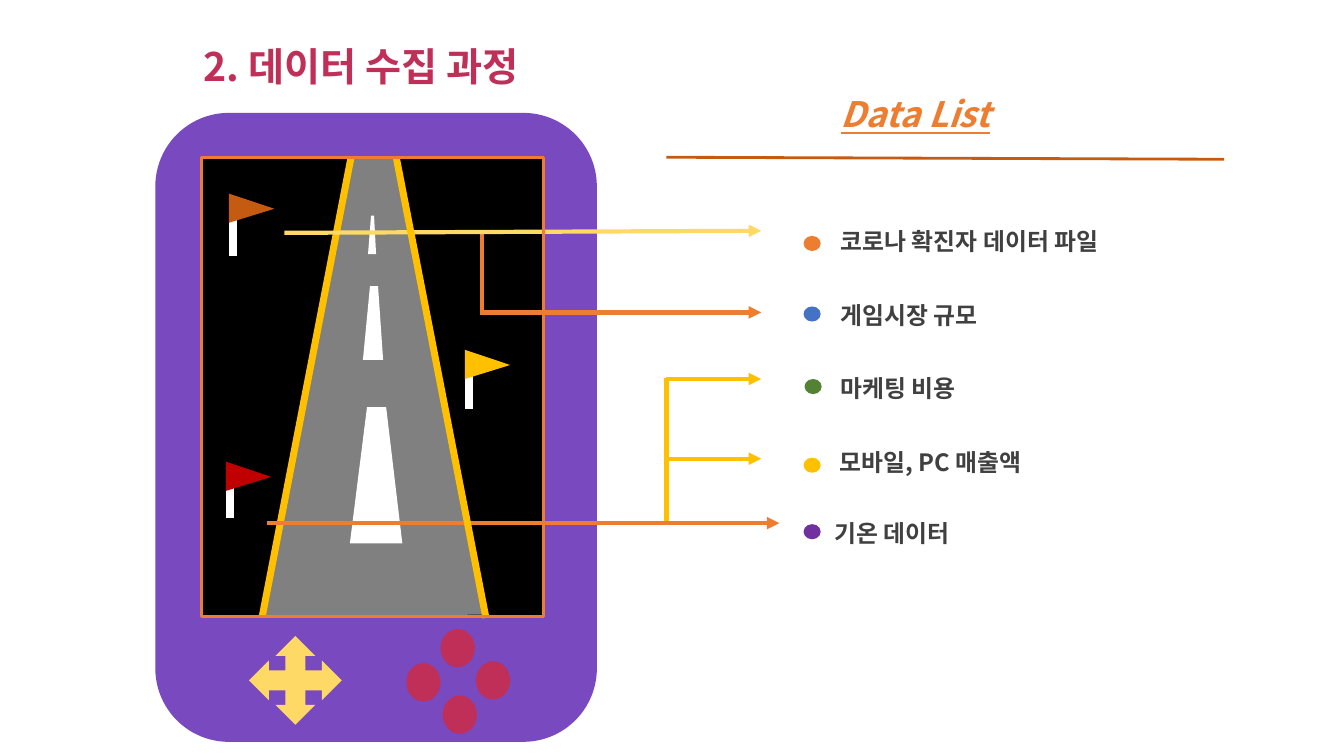
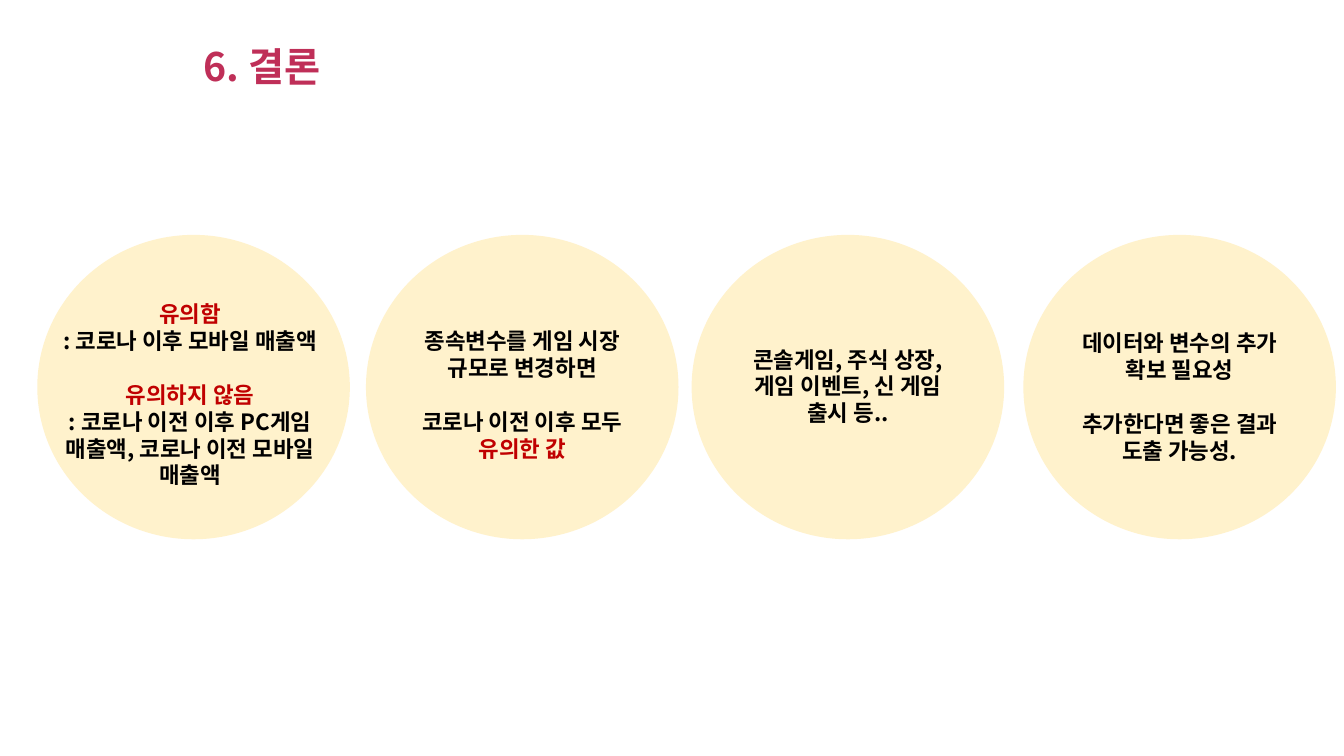
import pptx
import pptx.util
import pptx.dml.color
import pptx.enum.shapes
import pptx.enum.text
import pptx.oxml.ns
import lxml.etree

Inches, Pt = pptx.util.Inches, pptx.util.Pt
SHAPE = pptx.enum.shapes.MSO_SHAPE
ALIGN = pptx.enum.text.PP_ALIGN
qn = pptx.oxml.ns.qn

FONT = "Noto Sans CJK KR"
LINE_HEIGHT = 1.2
CRIMSON, PURPLE, CREAM = "BF2F58", "7949BF", "FFF2CC"
ORANGE, RUST, GOLD, PALE_GOLD, RED = "ED7D31", "C55A11", "FFC000", "FFD966", "C00000"
BLACK, WHITE, GRAY, DARK = "000000", "FFFFFF", "808080", "404040"

# Slide 1: text, text left, text top, dot left, dot top, dot colour
DATA_LIST = [
    ("코로나 확진자 데이터 파일", 8.24, 2.2, 7.97, 2.34, ORANGE),
    ("게임시장 규모", 8.24, 2.93, 7.97, 3.04, "4472C4"),
    ("마케팅 비용", 8.24, 3.66, 7.98, 3.76, "548235"),
    ("모바일, PC 매출액", 8.23, 4.39, 7.97, 4.54, GOLD),
    ("기온 데이터", 8.18, 5.1, 7.97, 5.2, "7030A0"),
]
ROAD = [(2.6, 6.12), (3.48, 1.57), (3.91, 1.57), (4.78, 6.09)]
LANE_MARKS = [
    [(3.47, 5.39), (3.64, 4.04), (3.83, 4.04), (3.99, 5.39)],
    [(3.6, 3.57), (3.67, 2.84), (3.75, 2.84), (3.8, 3.57)],
    [(3.65, 2.52), (3.68, 2.14), (3.71, 2.14), (3.73, 2.52)],
]
# Pole x, pole top, pennant top, pennant colour
FLAGS = [
    (2.28, 4.74, 4.58, RED),
    (2.31, 2.14, 1.92, RUST),
    (4.65, 3.66, 3.47, GOLD),
]
BUTTONS = [(4.37, 6.24), (4.03, 6.58), (4.39, 6.9), (4.72, 6.56)]
# Start, end, colour, width, arrowhead
LINES = [
    ((4.76, 3.1), (7.55, 3.1), ORANGE, 3, True),
    ((6.61, 1.56), (12.14, 1.58), RUST, 2, False),
    ((4.78, 2.31), (4.78, 3.1), ORANGE, 3, False),
    ((6.61, 3.76), (7.55, 3.76), GOLD, 3, True),
    ((6.61, 3.75), (6.61, 5.19), GOLD, 3, False),
    ((6.61, 4.55), (7.55, 4.55), GOLD, 3, True),
    ((3.48, 1.57), (2.6, 6.12), GOLD, 5, False),
    ((2.65, 5.19), (7.73, 5.19), ORANGE, 3, True),
    ((2.82, 2.31), (7.55, 2.29), PALE_GOLD, 3, True),
    ((3.93, 1.56), (4.82, 6.13), GOLD, 5, False),
]

# Slide 2: circle left, text box, then paragraphs of (runs, starts a new block)
CONCLUSIONS = [
    (0.37, (0.27, 2.93, 3.23, 1.99), [
        ([("유의함", RED)], False),
        ([(": 코로나 이후 모바일 매출액", BLACK)], False),
        ([("유의하지 않음", RED)], True),
        ([(": 코로나 이전 이후 PC게임 매출액, 코로나 이전 모바일 매출액", BLACK)], False),
    ]),
    (3.63, (4.08, 3.2, 2.2, 1.45), [
        ([("종속변수를 게임 시장 규모로 변경하면", BLACK)], False),
        ([("코로나 이전 이후 모두 ", BLACK), ("유의한 값", RED)], True),
    ]),
    (6.86, (7.31, 3.38, 2.2, 0.91), [
        ([("콘솔게임, 주식 상장, 게임 이벤트, 신 게임 출시 등..", BLACK)], False),
    ]),
    (10.15, (10.6, 3.22, 2.2, 1.45), [
        ([("데이터와 변수의 추가 확보 필요성", BLACK)], False),
        ([("추가한다면 좋은 결과 도출 가능성.", BLACK)], True),
    ]),
]


def rgb(color):
    return pptx.dml.color.RGBColor.from_string(color)


def paint(sp, fill=None, line=None, width=1):
    sp.shadow.inherit = False
    if fill:
        sp.fill.solid()
        sp.fill.fore_color.rgb = rgb(fill)
    else:
        sp.fill.background()
    if line:
        sp.line.color.rgb = rgb(line)
        sp.line.width = Pt(width)
    else:
        sp.line.fill.background()
    return sp


def add_shape(s, kind, box, fill=None, line=None, width=1):
    sp = s.shapes.add_shape(kind, *map(Inches, box))
    return paint(sp, fill, line, width)


def add_polygon(s, points, fill, line=None):
    corners = [(Inches(x), Inches(y)) for x, y in points]
    builder = s.shapes.build_freeform(*corners[0])
    builder.add_line_segments(corners[1:], close=True)
    return paint(builder.convert_to_shape(), fill, line)


def add_line(s, start, end, color, width, arrow=False):
    ends = map(Inches, (*start, *end))
    cx = s.shapes.add_connector(pptx.enum.shapes.MSO_CONNECTOR.STRAIGHT, *ends)
    cx.line.color.rgb = rgb(color)
    cx.line.width = Pt(width)
    if arrow:
        ln = cx.line._get_or_add_ln()
        lxml.etree.SubElement(ln, qn("a:tailEnd"), type="triangle")
    lxml.etree.SubElement(cx._element.spPr, qn("a:effectLst"))


def add_text(s, box, paragraphs, size, align=ALIGN.LEFT):
    """Add bold text; each paragraph is (runs, starts a new block)."""
    tf = s.shapes.add_textbox(*map(Inches, box)).text_frame
    tf.word_wrap = True
    for i, (runs, new_block) in enumerate(paragraphs):
        p = tf.add_paragraph() if i else tf.paragraphs[0]
        p.alignment = align
        p.line_spacing = Pt(size * LINE_HEIGHT)
        if new_block:
            p.space_before = Pt(size * LINE_HEIGHT)
        for text, color in runs:
            r = p.add_run()
            r.text = text
            r.font.size = Pt(size)
            r.font.bold = True
            r.font.color.rgb = rgb(color)
            r.font.name = FONT
            lxml.etree.SubElement(r._r.get_or_add_rPr(), qn("a:ea"), typeface=FONT)
    return tf


def add_label(s, box, text, size, color):
    return add_text(s, box, [([(text, color)], False)], size)


def add_slide(prs, title, title_width):
    s = prs.slides.add_slide(prs.slide_layouts[6])
    add_label(s, (1.92, 0.37, title_width, 0.57), title, 28, CRIMSON)
    return s


def add_flag(s, x, pole_top, pennant_top, color):
    add_line(s, (x, pole_top), (x, pole_top + 0.4), WHITE, 6)
    length, height = 0.45, 0.29
    # The triangle is laid out upright, then turned about its centre.
    shift = (length - height) / 2
    box = (x - 0.04 + shift, pennant_top - shift, height, length)
    sp = add_shape(s, SHAPE.ISOSCELES_TRIANGLE, box, color)
    sp.adjustments[0] = 0.52
    sp.rotation = 90


def build_collection(prs):
    s = add_slide(prs, "2. 데이터 수집 과정", 3.7)
    add_shape(s, SHAPE.ROUNDED_RECTANGLE, (1.54, 1.12, 4.38, 6.24), PURPLE)
    screen = (2, 1.56, 3.39, 4.56)
    add_shape(s, SHAPE.RECTANGLE, screen, BLACK)
    add_polygon(s, ROAD, GRAY, GRAY)
    for mark in LANE_MARKS:
        add_polygon(s, mark, WHITE)
    add_shape(s, SHAPE.QUAD_ARROW, (2.47, 6.31, 0.92, 0.88), PALE_GOLD)
    for x, y in BUTTONS:
        add_shape(s, SHAPE.OVAL, (x, y, 0.34, 0.38), CRIMSON)
    for flag in FLAGS:
        add_flag(s, *flag)
    for line in LINES:
        add_line(s, *line)
    add_shape(s, SHAPE.RECTANGLE, screen, line=ORANGE, width=2)

    heading = add_label(s, (8.24, 0.87, 1.84, 0.52), "Data List", 25, ORANGE)
    font = heading.paragraphs[0].runs[0].font
    font.italic = font.underline = True
    for text, x, y, dot_x, dot_y, color in DATA_LIST:
        add_label(s, (x, y, 3.36, 0.39), text, 17, DARK)
        dot = (dot_x, dot_y, 0.17, 0.15)
        add_shape(s, SHAPE.FLOWCHART_CONNECTOR, dot, color)


def build_conclusion(prs):
    s = add_slide(prs, "6. 결론", 1.36)
    for x, box, paragraphs in CONCLUSIONS:
        add_shape(s, SHAPE.OVAL, (x, 2.33, 3.1, 3.02), CREAM)
        add_text(s, box, paragraphs, 16, ALIGN.CENTER)


def main():
    prs = pptx.Presentation()
    prs.slide_width, prs.slide_height = Inches(13.33), Inches(7.5)
    build_collection(prs)
    build_conclusion(prs)
    prs.save("out.pptx")


if __name__ == "__main__":
    main()
